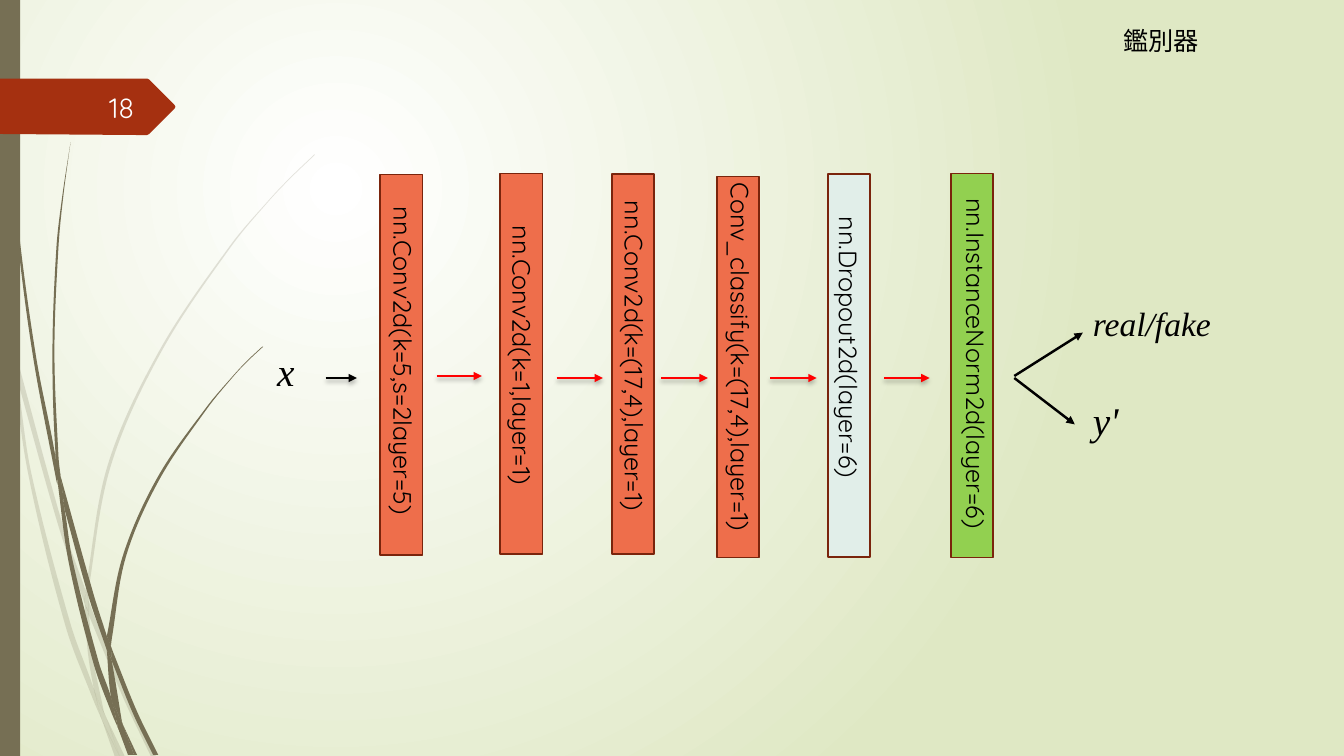
"""Build the slide that shows the layers of the discriminator."""
from lxml.etree import SubElement
from pptx import Presentation
from pptx.dml.color import RGBColor as RGB
from pptx.enum.shapes import MSO_CONNECTOR as LINK, MSO_SHAPE as SHAPE
from pptx.enum.text import MSO_ANCHOR as ANCHOR, MSO_AUTO_SIZE as SIZE, PP_ALIGN as ALIGN
from pptx.oxml.ns import qn
from pptx.util import Inches, Pt

BLACK = RGB(0, 0, 0)
WHITE = RGB(0xFF, 0xFF, 0xFF)
CREAM = RGB(0xFE, 0xFF, 0xFF)
SAGE = RGB(0xDF, 0xE8, 0xC4)
OLIVE = RGB(0x76, 0x6F, 0x54)
RUST = RGB(0xA5, 0x30, 0x10)
BROWN = RGB(0x7A, 0x24, 0x0C)
CORAL = RGB(0xEE, 0x6E, 0x4B)
GREEN = RGB(0x92, 0xD0, 0x50)
MINT = RGB(0xE1, 0xEE, 0xE9)
RED = RGB(0xFF, 0, 0)

SANS, SERIF = "Quicksand", "Times New Roman"

deck = Presentation()
deck.slide_width, deck.slide_height = Inches(13.33), Inches(7.5)
slide = deck.slides.add_slide(deck.slide_layouts[6])
shapes = slide.shapes


def write(text, left, top, width, height=0.4, size=18, font=SANS, color=BLACK,
          italic=None, turn=0, wrap=False, align=None, anchor=ANCHOR.TOP):
    box = shapes.add_textbox(Inches(left), Inches(top), Inches(width), Inches(height))
    box.rotation = turn
    frame = box.text_frame
    frame.word_wrap = wrap
    frame.auto_size = SIZE.SHAPE_TO_FIT_TEXT
    frame.vertical_anchor = anchor
    line = frame.paragraphs[0]
    line.alignment = align
    run = line.add_run()
    run.text = text
    run.font.size, run.font.name, run.font.italic = Pt(size), font, italic
    run.font.color.rgb = color


def paint(shape, color, edge=None):
    shape.shadow.inherit = False
    shape.fill.solid()
    shape.fill.fore_color.rgb = color
    if edge is None:
        shape.line.fill.background()
    else:
        shape.line.color.rgb = edge
        shape.line.width = Pt(1.25)


fill = slide.background.fill
fill.gradient()
for stop, color in zip(fill.gradient_stops, (WHITE, SAGE)):
    stop.color.rgb = color
grad = slide.background._cSld.find(".//" + qn("a:gradFill"))
grad.remove(grad.find(qn("a:lin")))
glow = SubElement(grad, qn("a:path"))
glow.set("path", "circle")
focus = SubElement(glow, qn("a:fillToRect"))
for side, share in zip("ltrb", (50, 50, 100, 100)):
    focus.set(side, str(share * 1000))

pale = [
    ([(0, 2.82), (0.09, 3.22), (0.11, 3.5)], [(0.1, 3.44), (0, 2.99)]),
    ([(0.14, 3.45), (0.62, 5.2), (0.85, 5.86)], [(0.84, 5.99), (0.58, 5.22), (0.17, 3.76)]),
    ([(0.88, 5.96), (0.92, 6.07), (1.27, 6.92), (1.55, 7.51)],
     [(1.5, 7.51), (1.23, 6.94), (0.88, 6.1)]),
    ([(1.05, 7.11), (1.24, 7.51)], [(1.19, 7.51), (1.05, 7.11)]),
    ([(0.11, 3.5), (0.17, 3.76), (0.31, 4.69), (0.7, 6.19), (0.93, 6.83), (0.99, 7.07)],
     [(1.01, 7.14), (0.92, 6.93), (0.65, 6.21), (0.28, 4.7), (0.11, 3.5)]),
    ([(0.84, 5.99), (0.88, 6.08), (0.91, 6.46), (1.03, 7.06)],
     [(1.05, 7.11), (0.96, 6.92), (0.93, 6.83), (0.87, 6.46), (0.84, 5.99)]),
    ([(3.12, 1.53), (2.89, 1.75), (2.68, 1.97), (2.28, 2.44), (1.58, 3.48), (1.07, 4.61),
      (0.85, 5.84), (0.85, 5.86)],
     [(0.88, 5.96), (0.88, 5.84), (1.1, 4.62), (1.6, 3.49), (2.29, 2.45), (2.68, 1.98),
      (2.9, 1.75), (3.12, 1.54)]),
    ([(1.01, 7.14), (1.14, 7.51)], [(1.19, 7.51), (1.01, 7.14)]),
    ([(0.85, 5.86), (0.88, 5.96), (0.88, 6.1)], [(0.88, 6.08), (0.84, 5.99), (0.85, 5.86)]),
    ([(0.93, 6.83), (0.96, 6.92), (1.05, 7.11), (1.19, 7.51)],
     [(1.19, 7.51), (1.01, 7.14), (0.99, 7.07), (0.93, 6.83)]),
]
dark = [
    ([(0.03, 0), (0.04, 0.48), (0.07, 1.1), (0.17, 2.33), (0.33, 3.55), (0.56, 4.77)],
     [(0.57, 4.81), (0.55, 4.53), (0.36, 3.55), (0.19, 2.32), (0.08, 1.09), (0.05, 0.48),
      (0.04, 0)]),
    ([(0.6, 4.72), (0.93, 5.9), (1.06, 6.31)], [(1.06, 6.45), (0.88, 5.92), (0.64, 5.05)]),
    ([(1.1, 6.41), (1.13, 6.49), (1.36, 7.06), (1.57, 7.49)],
     [(1.52, 7.49), (1.32, 7.08), (1.11, 6.56)]),
    ([(0.57, 4.77), (0.64, 5.05), (0.72, 5.56), (0.98, 6.57), (1.1, 6.91), (1.16, 7.17)],
     [(1.17, 7.22), (1.11, 7.08), (0.93, 6.59), (0.68, 5.57), (0.57, 4.77)]),
    ([(0.7, 1.41), (0.62, 1.93), (0.56, 2.45), (0.52, 3.49), (0.55, 4.49), (0.6, 4.72)],
     [(0.6, 4.72), (0.58, 4.53), (0.54, 3.49), (0.58, 2.45), (0.63, 1.93), (0.7, 1.41)]),
    ([(1.22, 7.19), (1.36, 7.49)], [(1.33, 7.49), (1.22, 7.19)]),
    ([(0.55, 4.49), (0.6, 4.72), (0.64, 5.05)], [(0.64, 5.05), (0.57, 4.77), (0.55, 4.53)]),
    ([(2.6, 3.44), (2.45, 3.58), (2.31, 3.73), (2.04, 4.05), (1.56, 4.74), (1.22, 5.51),
      (1.06, 6.31)],
     [(1.1, 6.41), (1.11, 6.33), (1.25, 5.52), (1.58, 4.76), (2.05, 4.06), (2.31, 3.74),
      (2.45, 3.59), (2.61, 3.44)]),
    ([(1.17, 7.22), (1.27, 7.49)], [(1.31, 7.49), (1.17, 7.22)]),
    ([(1.06, 6.45), (1.09, 6.51), (1.11, 6.56), (1.21, 7.16)],
     [(1.22, 7.19), (1.16, 7.06), (1.1, 6.91), (1.06, 6.45)]),
    ([(1.06, 6.31), (1.1, 6.41), (1.11, 6.56)], [(1.09, 6.51), (1.06, 6.45), (1.06, 6.31)]),
    ([(1.1, 6.91), (1.16, 7.06), (1.22, 7.19), (1.33, 7.49)],
     [(1.3, 7.49), (1.17, 7.22), (1.16, 7.17), (1.1, 6.91)]),
]
for blades, alpha in ((pale, 20), (dark, 100)):
    for down, up in blades:
        bends = []
        for edge in (down, up):
            spots = [complex(*spot) for spot in edge]
            bends += [spots[0]] * 3
            for a, b, c, d in zip([spots[0], *spots], spots, spots[1:],
                                  [*spots[2:], spots[-1]]):
                reach = abs(c - b) / 3
                bends += [b + (c - a) / abs(c - a) * reach,
                          c - (d - b) / abs(d - b) * reach, c]
        rim = [(Inches(spot.real), Inches(spot.imag)) for spot in bends[2:]]
        pen = shapes.build_freeform(*rim[0])
        pen.add_line_segments(rim[1:])
        blade = pen.convert_to_shape()
        track = blade._element.find(".//" + qn("a:path"))
        legs = track.findall(qn("a:lnTo"))
        for first, *rest in zip(legs[::3], legs[1::3], legs[2::3]):
            first.tag = qn("a:cubicBezTo")
            for leg in rest:
                first.append(leg[0])
                track.remove(leg)
        paint(blade, OLIVE)
        tint = blade.fill._xPr.find(".//" + qn("a:srgbClr"))
        SubElement(tint, qn("a:alpha")).set("val", str(alpha * 1000))

strip = shapes.add_shape(SHAPE.RECTANGLE, 0, 0, Inches(0.2), Inches(7.5))
paint(strip, OLIVE)
pen = shapes.build_freeform(0, Inches(0.78))
pen.add_line_segments([(Inches(x), Inches(y)) for x, y in (
    (1.46, 0.78), (1.48, 0.79), (1.73, 1.04), (1.74, 1.06), (1.73, 1.08),
    (1.48, 1.33), (1.46, 1.34), (1.36, 1.34), (0, 1.33))])
paint(pen.convert_to_shape(), RUST)
write("18", 0.58, 0.86, 0.85, size=20, color=CREAM, wrap=True,
      align=ALIGN.RIGHT, anchor=ANCHOR.MIDDLE)
write("鑑別器", 11.04, 0.2, 0.96)

layers = [
    ("nn.Conv2d(k=5,s=2layer=5)", 3.77, 1.73, 3.78, CORAL, 2.24, 3.51, 3.52, False),
    ("nn.Conv2d(k=1,layer=1)", 4.96, 1.72, 3.78, CORAL, 3.62, 3.5, 3.12, False),
    ("nn.Conv2d(k=(17,4),layer=1)", 6.07, 1.73, 3.77, CORAL, 4.48, 3.51, 3.63, True),
    ("Conv_classify(k=(17,4),layer=1)", 7.11, 1.75, 3.78, CORAL, 5.37, 3.49, 3.95, True),
    ("nn.Dropout2d(layer=6)", 8.21, 1.73, 3.8, MINT, 6.85, 3.42, 3.14, True),
    ("nn.InstanceNorm2d(layer=6)", 9.43, 1.72, 3.81, GREEN, 7.85, 3.5, 3.66, True),
]
for name, left, top, height, color, x, y, width, wrap in layers:
    bar = shapes.add_shape(SHAPE.RECTANGLE, Inches(left), Inches(top),
                           Inches(0.42), Inches(height))
    paint(bar, color, BROWN)
    write(name, x, y, width, turn=90, wrap=wrap)

reds = [(4.33, 4.78, 3.73), (5.52, 5.98, 3.75), (6.56, 7.02, 3.75),
        (7.64, 8.1, 3.75), (8.77, 9.22, 3.75)]
arrows = [(3.23, 3.75, 3.54, 3.75, BLACK, True),
          *[(start, y, end, y, RED, True) for start, end, y in reds],
          (10.06, 3.73, 10.74, 3.3, BLACK, False),
          (10.06, 3.75, 10.66, 4.21, BLACK, False)]
for *ends, color, shade in arrows:
    arrow = shapes.add_connector(LINK.STRAIGHT, *map(Inches, ends))
    arrow.line.color.rgb = color
    arrow.line.width = Pt(1.75)
    SubElement(arrow.line._get_or_add_ln(), qn("a:tailEnd")).set("type", "triangle")
    effect = SubElement(arrow._element.spPr, qn("a:effectLst"))
    if shade:
        cast = SubElement(effect, qn("a:outerShdw"), blurRad=str(Pt(3)),
                          dist=str(Pt(2)), dir="5400000", rotWithShape="0")
        tint = SubElement(cast, qn("a:srgbClr"), val=str(BLACK))
        SubElement(tint, qn("a:alpha"), val="25000")

for text, top, width, height, size in (
        ("real/fake", 2.96, 1.38, 0.5, 24), ("y'", 3.88, 0.46, 0.57, 28)):
    write(text, 10.74, top, width, height, size=size, font=SERIF, italic=True)
write("x", 2.65, 3.4, 0.38, 0.57, size=28, font=SERIF, italic=True)

deck.save("out.pptx")
